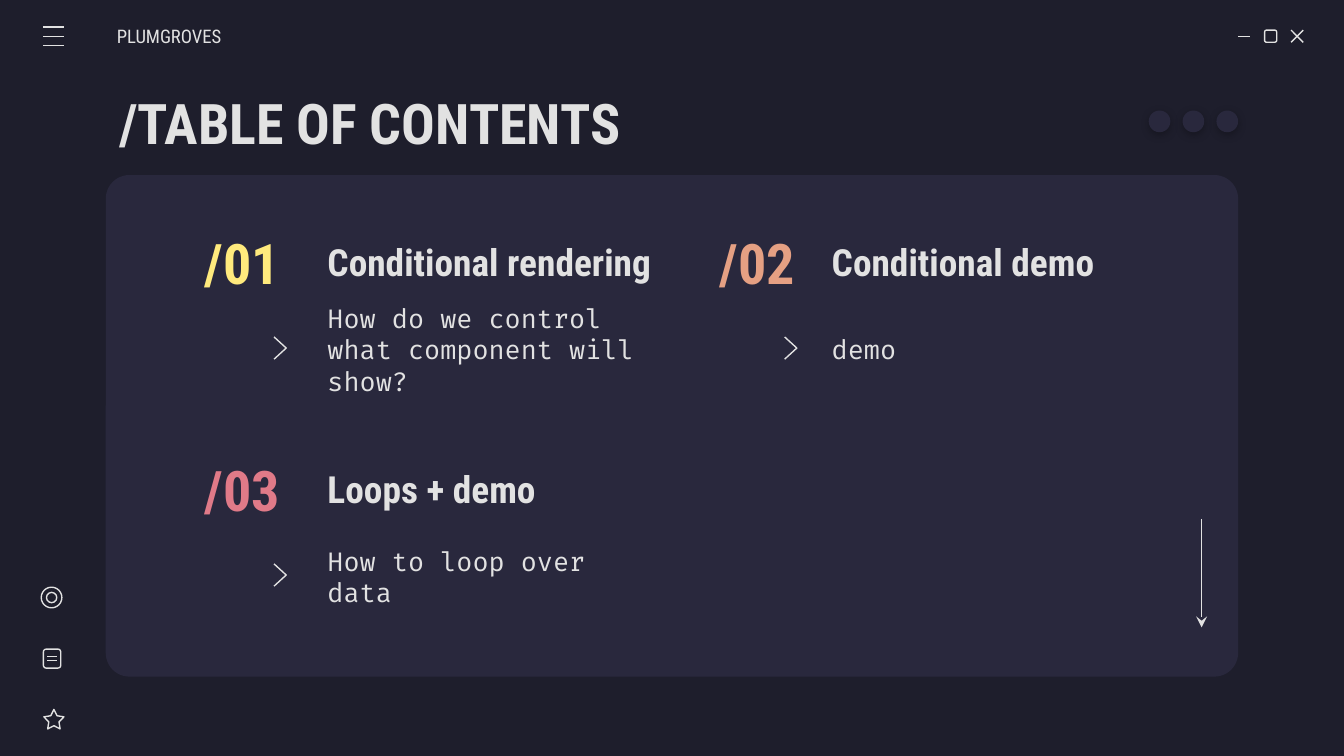
from dataclasses import dataclass
from lxml import etree
from pptx import Presentation
from pptx.dml.color import RGBColor
from pptx.enum.shapes import MSO_CONNECTOR, MSO_SHAPE
from pptx.enum.text import MSO_ANCHOR, MSO_AUTO_SIZE, PP_ALIGN
from pptx.oxml import parse_xml
from pptx.oxml.ns import nsdecls, qn
from pptx.util import Cm, Pt


@dataclass(frozen=True)
class Theme:
    back: str = "1E1E2C"
    card: str = "29283D"
    ink: str = "E2E2E2"
    yellow: str = "FFEA7D"
    orange: str = "E5A083"
    pink: str = "E07A88"
    head: str = "Roboto Condensed"
    code: str = "Fira Code"
    big: int = 30
    mid: int = 20
    body: int = 14
    small: int = 10
    stroke: float = 0.75


THEME = Theme()


def rgb(code):
    return RGBColor.from_string(code)


def shape(slide, kind, box, fill=None, adjust=None):
    """Add a preset shape, filled without a line or outlined without a fill."""
    item = slide.shapes.add_shape(kind, *map(Cm, box))
    item.shadow.inherit = False
    if adjust is not None:
        item.adjustments[0] = adjust
    if fill:
        item.fill.solid()
        item.fill.fore_color.rgb = rgb(fill)
        item.line.fill.background()
    else:
        outline(item)
    return item


def outline(item):
    item.fill.background()
    pen(item.line)


def pen(line):
    line.color.rgb = rgb(THEME.ink)
    line.width = Pt(THEME.stroke)


def line(slide, x1, y1, x2, y2, arrow=False):
    item = slide.shapes.add_connector(
        MSO_CONNECTOR.STRAIGHT, Cm(x1), Cm(y1), Cm(x2), Cm(y2))
    pen(item.line)
    props = item._element.spPr
    etree.SubElement(props, qn("a:effectLst"))
    if arrow:
        etree.SubElement(props.find(qn("a:ln")), qn("a:tailEnd"), type="stealth")


def write(item, text, size, color=THEME.ink, font=THEME.head, bold=True,
          align=PP_ALIGN.LEFT, left=0.25):
    frame = item.text_frame
    frame.word_wrap = True
    frame.auto_size = MSO_AUTO_SIZE.NONE
    frame.vertical_anchor = MSO_ANCHOR.MIDDLE
    frame.margin_left = Cm(left)
    frame.margin_right = frame.margin_top = frame.margin_bottom = Cm(0.25)
    para = frame.paragraphs[0]
    para.alignment = align
    run = para.add_run()
    run.text = text
    run.font.name = font
    run.font.size = Pt(size)
    run.font.bold = bold
    run.font.color.rgb = rgb(color)


def label(slide, box, text, size, **style):
    write(slide.shapes.add_textbox(*map(Cm, box)), text, size, **style)


def heading(slide, box):
    title = slide.shapes.title
    title.left, title.top, title.width, title.height = map(Cm, box)
    write(title, "/TABLE OF CONTENTS", THEME.big)


def menu(slide, box):
    x, y, w, h = box
    for step in range(3):
        level = y + step * h / 2
        line(slide, x, level, x + w, level)


def window(slide, box):
    """Draw the minimise, maximise and close buttons."""
    x, y, w, h = box
    mid, close = x + (w - h) / 2, x + w - h
    line(slide, x, y + h / 2, x + h, y + h / 2)
    shape(slide, MSO_SHAPE.ROUNDED_RECTANGLE, (mid, y, h, h))
    line(slide, close, y, x + w, y + h)
    line(slide, x + w, y, close, y + h)


def sidebar(slide, box):
    """Draw the ring, page and star icons."""
    x, y, w, h = box
    shape(slide, MSO_SHAPE.OVAL, (x, y, w, w))
    shape(slide, MSO_SHAPE.OVAL, (x + w / 4, y + w / 4, w / 2, w / 2))
    page = y + 1.17
    shape(slide, MSO_SHAPE.ROUNDED_RECTANGLE, (x + 0.04, page, 0.33, 0.36))
    for level in (page + 0.14, page + 0.22):
        line(slide, x + 0.11, level, x + 0.29, level)
    shape(slide, MSO_SHAPE.STAR_5_POINT, (x + 0.05, y + h - 0.37, 0.38, 0.37),
          adjust=0.254)


def dots(slide, box):
    x, y, w, h = box
    for step in range(3):
        dot = shape(slide, MSO_SHAPE.OVAL,
                    (x + step * (w - h) / 2, y, h, h), THEME.card)
        effects = dot._element.spPr.find(qn("a:effectLst"))
        effects.append(parse_xml(
            f'<a:outerShdw {nsdecls("a")} blurRad="{Pt(4.5)}" dist="{Pt(1.5)}" '
            'dir="5400000" algn="bl" rotWithShape="0"><a:srgbClr val="000000">'
            '<a:alpha val="27000"/></a:srgbClr></a:outerShdw>'))


def chevron(slide, box):
    x, y, w, h = box
    path = slide.shapes.build_freeform(Cm(x), Cm(y))
    path.add_line_segments(
        [(Cm(x + w), Cm(y + h / 2)), (Cm(x), Cm(y + h))], close=False)
    item = path.convert_to_shape()
    item.shadow.inherit = False
    outline(item)


def entry(slide, box, mark, indent, number, color, name, note):
    """Place one topic: mark and indent are offsets of chevron and text."""
    x, y, w, h = box
    label(slide, (x, y, 2.31, 1.42), number, THEME.big, color=color,
          align=PP_ALIGN.CENTER)
    label(slide, (x + indent, y, w - indent, 1.42), name, THEME.mid)
    label(slide, (x + indent, y + 1.41, 6.5, h - 1.41), note, THEME.body,
          font=THEME.code, bold=False)
    chevron(slide, (x + mark, y + 2.13, 0.23, 0.42))


def contents(slide, box):
    x, y, w, h = box
    shape(slide, MSO_SHAPE.ROUNDED_RECTANGLE, box, THEME.card, 0.047)
    cols = ((1.43, 1.75, 2.51), (11.16, 1.67, 2.31))
    rows = (0.93, 5.22)
    topics = (
        ("/01", THEME.yellow, "Conditional rendering",
         "How do we control what component will show?"),
        ("/02", THEME.orange, "Conditional demo", "demo"),
        ("/03", THEME.pink, "Loops + demo", "How to loop over data"),
    )
    for index, topic in enumerate(topics):
        row, col = divmod(index, len(cols))
        left, mark, indent = cols[col]
        entry(slide, (x + left, y + rows[row], 9.75, 3.32), mark, indent, *topic)
    line(slide, x + w - 0.69, y + h - 2.98, x + w - 0.69, y + h - 0.93, arrow=True)


def main():
    deck = Presentation()
    deck.slide_width, deck.slide_height = Cm(25.4), Cm(14.29)
    slide = deck.slides.add_slide(deck.slide_layouts[5])
    slide.background.fill.solid()
    slide.background.fill.fore_color.rgb = rgb(THEME.back)
    contents(slide, (2, 3.31, 21.4, 9.48))
    heading(slide, (2, 1.5, 21.4, 1.6))
    menu(slide, (0.82, 0.51, 0.39, 0.35))
    label(slide, (2.21, 0.31, 2.97, 0.76), "PLUMGROVES", THEME.small,
          bold=False, left=0)
    window(slide, (23.4, 0.57, 1.23, 0.23))
    dots(slide, (21.71, 2.09, 1.69, 0.41))
    sidebar(slide, (0.78, 11.1, 0.39, 2.68))
    deck.save("out.pptx")


if __name__ == "__main__":
    main()
